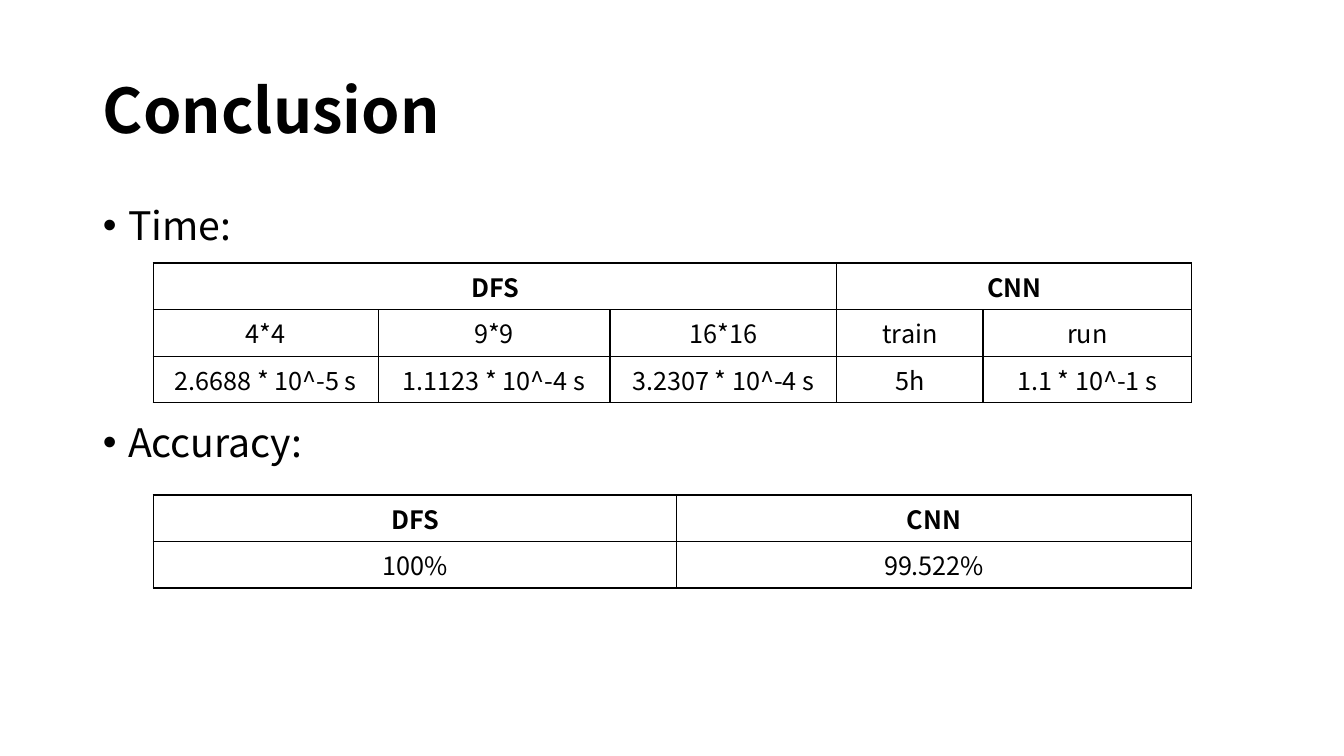
from lxml import etree
from pptx import Presentation
from pptx.dml.color import RGBColor
from pptx.enum import text
from pptx.oxml import ns
from pptx.util import Inches, Pt

WIDE, HIGH = 13.33, 7.5
LEFT, SPAN = 1.52, 10.3
ROW = 0.41
FONT = "Noto Sans CJK SC"
HUES = {"ink": "000000", "paper": "FFFFFF"}


def put(frame, words, size=18, bold=False, align=text.PP_ALIGN.LEFT,
        line=None, before=None, more=False):
    """Write one formatted paragraph and return it."""
    para = frame.add_paragraph() if more else frame.paragraphs[0]
    para.alignment = align
    para.line_spacing = line
    para.space_before = None if before is None else Pt(before)
    run = para.add_run()
    run.text = words
    run.font.name, run.font.size, run.font.bold = FONT, Pt(size), bold
    run.font.color.rgb = RGBColor.from_string(HUES["ink"])
    return para


def place(holder, top, high, anchor):
    """Move a placeholder to the text column and return its frame."""
    holder.left, holder.width = Inches(0.92), Inches(11.5)
    holder.top, holder.height = Inches(top), Inches(high)
    frame = holder.text_frame
    frame.word_wrap = True
    frame.auto_size = text.MSO_AUTO_SIZE.NONE
    frame.vertical_anchor = anchor
    return frame


def list_up(frame, items):
    """Write bulleted items given as pairs of words and space before."""
    for i, (words, gap) in enumerate(items):
        para = put(frame, words, size=28, line=0.9, before=gap, more=i > 0)
        props = para._p.get_or_add_pPr()
        props.set("marL", str(Inches(0.25)))
        props.set("indent", str(Inches(-0.25)))
        etree.SubElement(props, ns.qn("a:buChar"), char="•")


def edge(cell):
    """Draw a thin line on each side of a cell."""
    props = cell._tc.get_or_add_tcPr()
    for side in ("lnL", "lnR", "lnT", "lnB"):
        line = etree.SubElement(props, ns.qn(f"a:{side}"), w=str(Pt(1)))
        fill = etree.SubElement(line, ns.qn("a:solidFill"))
        etree.SubElement(fill, ns.qn("a:srgbClr"), val=HUES["ink"])


def grid(slide, top, cols, rows, joins=()):
    """Add a table with a bold head row and joined head cells."""
    frame = slide.shapes.add_table(len(rows), len(cols), Inches(LEFT), Inches(top),
                                   Inches(SPAN), Inches(ROW * len(rows)))
    table = frame.table
    table.first_row = table.horz_banding = False
    for col, wide in zip(table.columns, cols):
        col.width = Inches(wide)
    for r, row in enumerate(rows):
        table.rows[r].height = Inches(ROW)
        for c, words in enumerate(row):
            cell = table.cell(r, c)
            edge(cell)
            cell.fill.solid()
            cell.fill.fore_color.rgb = RGBColor.from_string(HUES["paper"])
            if words:
                put(cell.text_frame, words, bold=r == 0, align=text.PP_ALIGN.CENTER)
    for first, last in joins:
        table.cell(0, first).merge(table.cell(0, last))


def main():
    """Build the slide and save it."""
    deck = Presentation()
    deck.slide_width, deck.slide_height = Inches(WIDE), Inches(HIGH)
    slide = deck.slides.add_slide(deck.slide_layouts[1])
    title, body = slide.placeholders
    put(place(title, 0.4, 1.45, text.MSO_ANCHOR.MIDDLE), "Conclusion",
        size=44, bold=True, line=0.9)
    list_up(place(body, 2, 4.76, text.MSO_ANCHOR.TOP),
            [("Time:", 10), ("Accuracy:", 124.5)])
    grid(slide, 2.61, [2.23, 2.3, 2.25, 1.45, 2.07], [
        ["DFS", "", "", "CNN", ""],
        ["4*4", "9*9", "16*16", "train", "run"],
        ["2.6688 * 10^-5 s", "1.1123 * 10^-4 s", "3.2307 * 10^-4 s",
         "5h", "1.1 * 10^-1 s"],
    ], joins=[(0, 2), (3, 4)])
    grid(slide, 4.91, [5.19, 5.11], [["DFS", "CNN"], ["100%", "99.522%"]])
    deck.save("out.pptx")


if __name__ == "__main__":
    main()
